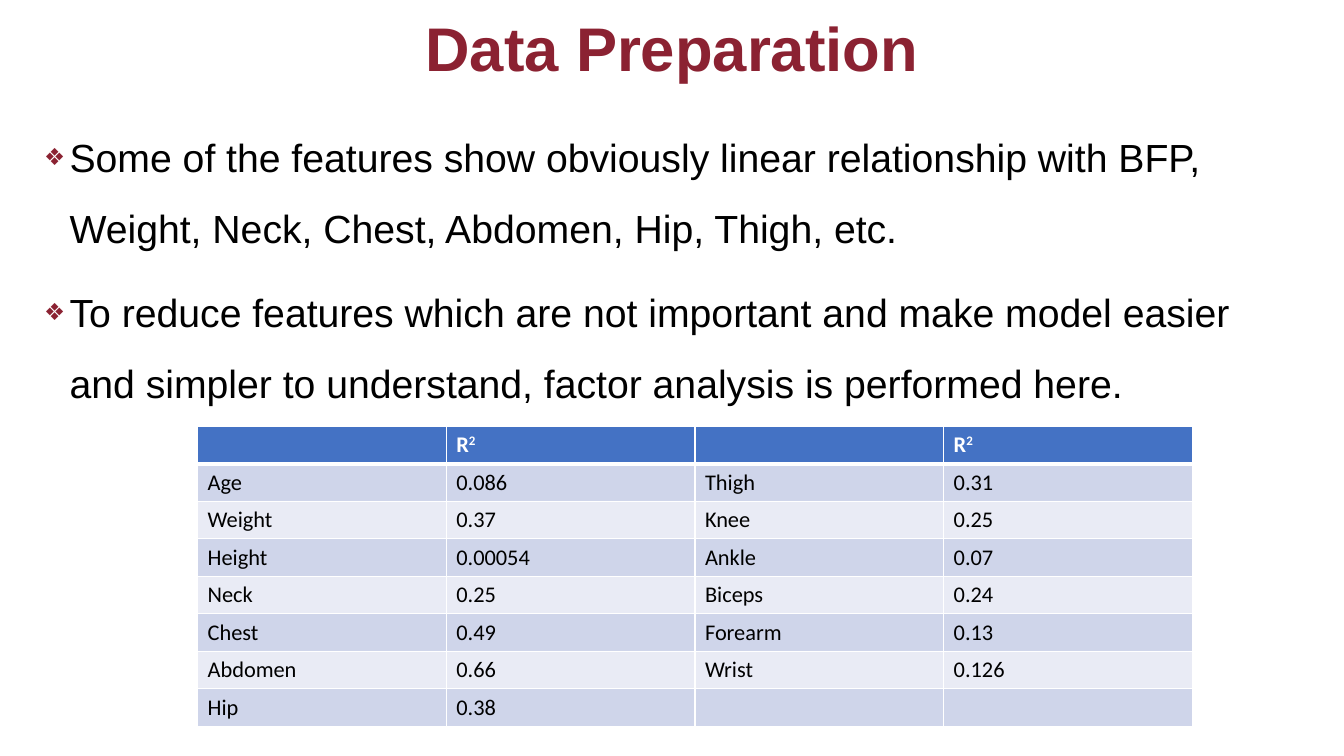
from lxml.etree import SubElement as add_element
from pptx import Presentation
from pptx.dml.color import RGBColor as Color
from pptx.enum.text import MSO_ANCHOR as Anchor, MSO_AUTO_SIZE as AutoSize, PP_ALIGN as Align
from pptx.oxml.ns import qn
from pptx.util import Cm, Pt

MAROON, BLACK, WHITE = "8B2232", "000000", "FFFFFF"
HEADER_FILL = "4472C4"
BAND_FILLS = ["CFD5EA", "E9EBF5"]
CELL_SIZE = 16

POINTS = [
    "Some of the features show obviously linear relationship with BFP, "
    "Weight, Neck, Chest, Abdomen, Hip, Thigh, etc.",
    "To reduce features which are not important and make model easier "
    "and simpler to understand, factor analysis is performed here.",
]
ROWS = [
    ["", "R", "", "R"],
    ["Age", "0.086", "Thigh", "0.31"],
    ["Weight", "0.37", "Knee", "0.25"],
    ["Height", "0.00054", "Ankle", "0.07"],
    ["Neck", "0.25", "Biceps", "0.24"],
    ["Chest", "0.49", "Forearm", "0.13"],
    ["Abdomen", "0.66", "Wrist", "0.126"],
    ["Hip", "0.38", "", ""],
]


def color(value):
    return Color.from_string(value)


def style_text(para, font, size, value, bold=False):
    for span in para.runs:
        span.font.name = font
        span.font.size = Pt(size)
        span.font.bold = bold
        span.font.color.rgb = color(value)


def place(shape, box):
    shape.left, shape.top, shape.width, shape.height = box


def add_bullet(para):
    props = para._p.get_or_add_pPr()
    props.set("marL", str(Cm(0.64)))
    props.set("indent", str(-Cm(0.64)))
    bullet_color = add_element(props, qn("a:buClr"))
    add_element(bullet_color, qn("a:srgbClr"), val=MAROON)
    add_element(props, qn("a:buSzPct"), val="60000")
    add_element(props, qn("a:buChar"), char="❖")


def fill_title(title, box):
    place(title, box)
    frame = title.text_frame
    frame.text = "Data Preparation"
    frame.auto_size = AutoSize.NONE
    frame.vertical_anchor = Anchor.MIDDLE
    para = frame.paragraphs[0]
    para.alignment = Align.CENTER
    style_text(para, "Arial", 44, MAROON, True)


def fill_body(body, box):
    place(body, box)
    frame = body.text_frame
    frame.text = "\n".join(POINTS)
    frame.auto_size = AutoSize.NONE
    for para in frame.paragraphs:
        para.line_spacing = 1.5
        para.space_before = Pt(10)
        para.space_after = Pt(0)
        add_bullet(para)
        style_text(para, "Arial", 28, BLACK)


def add_borders(cell, widths):
    props = cell._tc.get_or_add_tcPr()
    for side, width in widths.items():
        line = add_element(props, qn(f"a:ln{side}"), w=str(Pt(width)))
        fill = add_element(line, qn("a:solidFill"))
        add_element(fill, qn("a:srgbClr"), val=WHITE)


def fill_cell(cell, text, row):
    header = row == 0
    cell.text_frame.text = text
    para = cell.text_frame.paragraphs[0]
    if header and text:
        exponent = para.add_run()
        exponent.text = "2"
        exponent._r.get_or_add_rPr().set("baseline", "30000")
    style_text(para, "Calibri", CELL_SIZE, WHITE if header else BLACK, header)
    if not text:
        add_element(para._p, qn("a:endParaRPr"), sz=str(CELL_SIZE * 100))
    add_borders(cell, {"L": 1, "R": 1, "T": 3 if row == 1 else 1, "B": 3 if header else 1})
    cell.fill.solid()
    cell.fill.fore_color.rgb = color(HEADER_FILL if header else BAND_FILLS[(row - 1) % 2])


def add_scores(page, box):
    table = page.shapes.add_table(len(ROWS), len(ROWS[0]), *box).table
    for row, texts in enumerate(ROWS):
        for column, text in enumerate(texts):
            fill_cell(table.cell(row, column), text, row)


def build_page(deck):
    page = deck.slides.add_slide(deck.slide_layouts[1])
    title, body = page.placeholders
    fill_title(title, (Cm(5.51), Cm(-0.41), Cm(22.86), Cm(3.18)))
    fill_body(body, (Cm(0.86), Cm(2.64), Cm(32.16), Cm(8.08)))
    add_scores(page, (Cm(4.98), Cm(10.74), Cm(25.07), Cm(7.54)))


def main():
    deck = Presentation()
    deck.slide_width, deck.slide_height = Cm(33.87), Cm(19.05)
    build_page(deck)
    deck.save("out.pptx")


if __name__ == "__main__":
    main()
